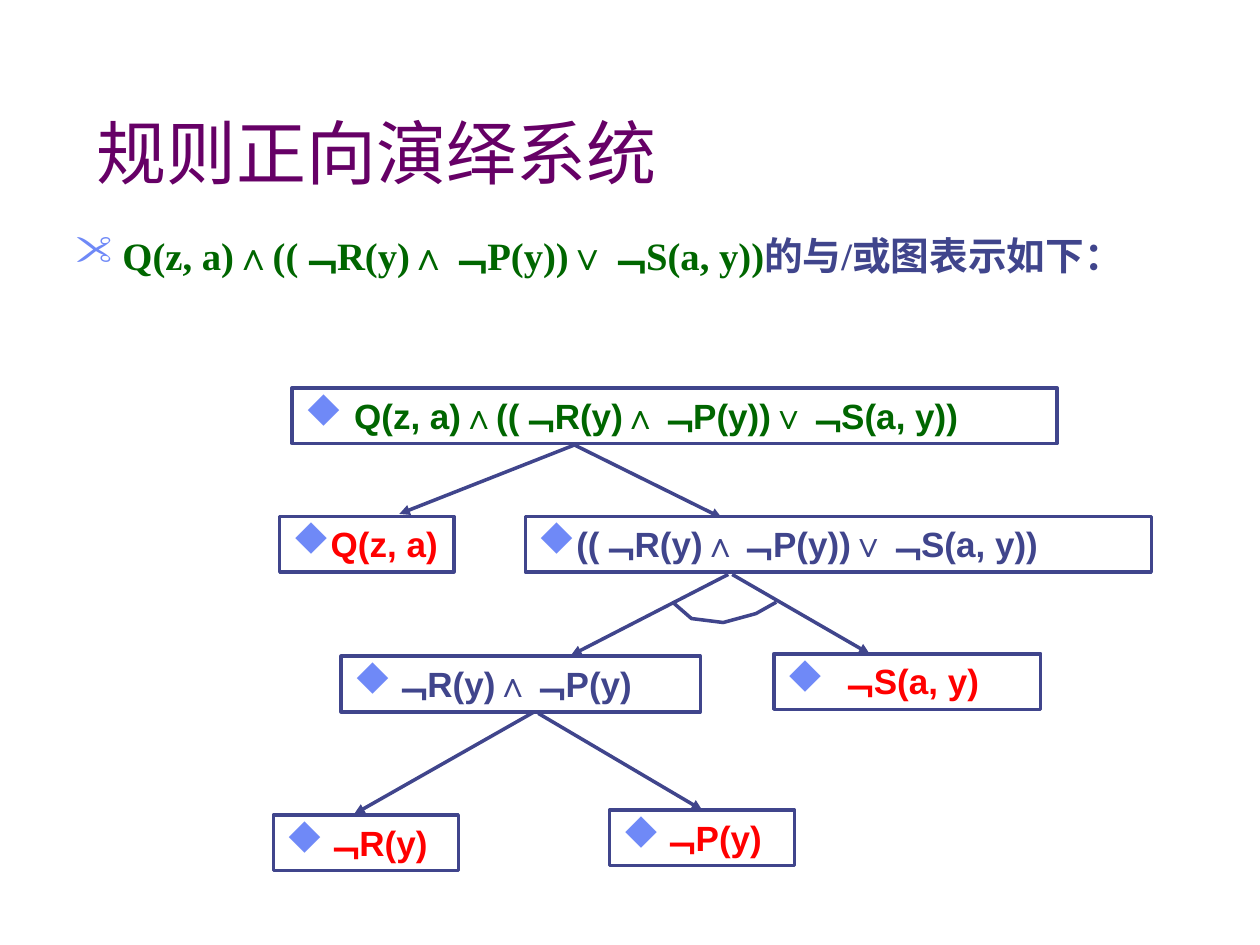
from typing import NamedTuple, Optional

from lxml import etree
from pptx import Presentation
from pptx import util as u
from pptx.dml.color import RGBColor
from pptx.enum import shapes, text
from pptx.oxml.ns import qn

COLORS = {
    "title": "660066",
    "formula": "006600",
    "ink": "40458C",
    "leaf": "FF0000",
    "bullet": "6F89F7",
}
# Wingdings characters
SCISSORS = '"'
DIAMOND = "u"
BOX_HEIGHT = 1.12
FORMULA = "Q(z, a)∧((﹁R(y)∧﹁P(y))∨﹁S(a, y))"


class Node(NamedTuple):
    label: str
    color: str
    left: float
    top: float
    width: float
    indent: float = 0


class Edge(NamedTuple):
    start: tuple[float, float]
    end: tuple[float, float]
    target: Optional[str] = None  # node whose top middle the arrow meets


NODES = {
    "root": Node(FORMULA, "formula", 5.89, 7.82, 15.42, 1),
    "q": Node("Q(z, a)", "leaf", 5.64, 10.41, 3.51),
    "or": Node("((﹁R(y)∧﹁P(y))∨﹁S(a, y))", "ink", 10.59, 10.41, 12.62),
    "and": Node("﹁R(y)∧﹁P(y)", "ink", 6.88, 13.23, 7.24),
    "s": Node("﹁S(a, y)", "leaf", 15.6, 13.18, 5.38, 1.06),
    "r": Node("﹁R(y)", "leaf", 5.51, 16.43, 3.73),
    "p": Node("﹁P(y)", "leaf", 12.29, 16.33, 3.73),
}
EDGES = [
    Edge((11.58, 8.97), (8.05, 10.36)),
    Edge((11.58, 8.97), (14.55, 10.44)),
    Edge((14.68, 11.58), (11.51, 13.21)),
    Edge((14.76, 11.58), (17.53, 13.18)),
    Edge((10.77, 14.35), (7.14, 16.41)),
    Edge((10.85, 14.38), (14.15, 16.41), "p"),
]
AND_ARC = [(13.56, 12.14), (13.94, 12.47), (14.58, 12.55), (15.24, 12.37), (15.65, 12.14)]


def rgb(name: str) -> RGBColor:
    return RGBColor.from_string(COLORS[name])


def add_run(p, content: str, font: str, size: float, color: str, bold: bool = True) -> None:
    r = p.add_run()
    r.text = content
    r.font.name = font
    r.font.size = u.Pt(size)
    r.font.bold = bold
    r.font.color.rgb = rgb(color)


def set_bullet(p, char: str, indent: float) -> None:
    """Give a paragraph a coloured Wingdings bullet with a hanging indent in cm."""
    pPr = p._p.get_or_add_pPr()
    pPr.set("marL", str(u.Cm(indent)))
    pPr.set("indent", str(-u.Cm(indent)))
    pPr.set("hangingPunct", "0")
    clr = etree.SubElement(pPr, qn("a:buClr"))
    etree.SubElement(clr, qn("a:srgbClr"), val=COLORS["bullet"])
    etree.SubElement(pPr, qn("a:buSzPct"), val="110000")
    etree.SubElement(pPr, qn("a:buFont"), typeface="Wingdings", pitchFamily="2", charset="2")
    etree.SubElement(pPr, qn("a:buChar"), char=char)


def style_line(line) -> None:
    line.color.rgb = rgb("ink")
    line.width = u.Pt(2)


def add_title(s) -> None:
    title = s.shapes.title
    title.left, title.top = u.Cm(1.7), u.Cm(0.84)
    title.width, title.height = u.Cm(21.59), u.Cm(3.18)
    tf = title.text_frame
    tf.vertical_anchor = text.MSO_ANCHOR.BOTTOM
    p = tf.paragraphs[0]
    p.alignment = text.PP_ALIGN.LEFT
    add_run(p, "规则正向演绎系统", "Cabin", 40, "title", bold=False)


def add_statement(s) -> None:
    box = s.shapes.add_textbox(u.Cm(1.27), u.Cm(4.45), u.Cm(22.96), u.Cm(1.7))
    tf = box.text_frame
    tf.word_wrap = True
    p = tf.paragraphs[0]
    set_bullet(p, SCISSORS, 0.95)
    p.line_spacing = 1.1
    add_run(p, FORMULA, "Times New Roman", 22.1, "formula")
    add_run(p, "的与/或图表示如下：", "Times New Roman", 22.1, "ink")


def add_node(s, node: Node):
    sp = s.shapes.add_shape(
        shapes.MSO_SHAPE.RECTANGLE,
        u.Cm(node.left), u.Cm(node.top), u.Cm(node.width), u.Cm(BOX_HEIGHT),
    )
    sp.shadow.inherit = False
    sp.fill.background()
    style_line(sp.line)
    tf = sp.text_frame
    tf.word_wrap = True
    tf.vertical_anchor = text.MSO_ANCHOR.TOP
    p = tf.paragraphs[0]
    p.alignment = text.PP_ALIGN.LEFT
    set_bullet(p, DIAMOND, node.indent)
    add_run(p, node.label, "Arial", 20, node.color)
    return sp


def add_edge(s, edge: Edge, boxes: dict) -> None:
    line = s.shapes.add_connector(
        shapes.MSO_CONNECTOR.STRAIGHT, *(u.Cm(v) for v in edge.start + edge.end)
    )
    if edge.target:
        line.end_connect(boxes[edge.target], 0)
    style_line(line.line)
    etree.SubElement(line.line._get_or_add_ln(), qn("a:tailEnd"), type="triangle")
    etree.SubElement(line._element.spPr, qn("a:effectLst"))


def add_and_arc(s) -> None:
    """Draw the open arc that marks an AND pair of branches."""
    first, *rest = [(u.Cm(x), u.Cm(y)) for x, y in AND_ARC]
    builder = s.shapes.build_freeform(*first)
    builder.add_line_segments(rest, close=False)
    arc = builder.convert_to_shape()
    arc.shadow.inherit = False
    arc.fill.background()
    style_line(arc.line)


def main() -> None:
    prs = Presentation()
    prs.slide_width, prs.slide_height = u.Cm(25.4), u.Cm(19.05)
    s = prs.slides.add_slide(prs.slide_layouts[5])
    add_title(s)
    add_statement(s)
    boxes = {name: add_node(s, node) for name, node in NODES.items()}
    for edge in EDGES:
        add_edge(s, edge, boxes)
    add_and_arc(s)
    prs.save("out.pptx")


if __name__ == "__main__":
    main()
